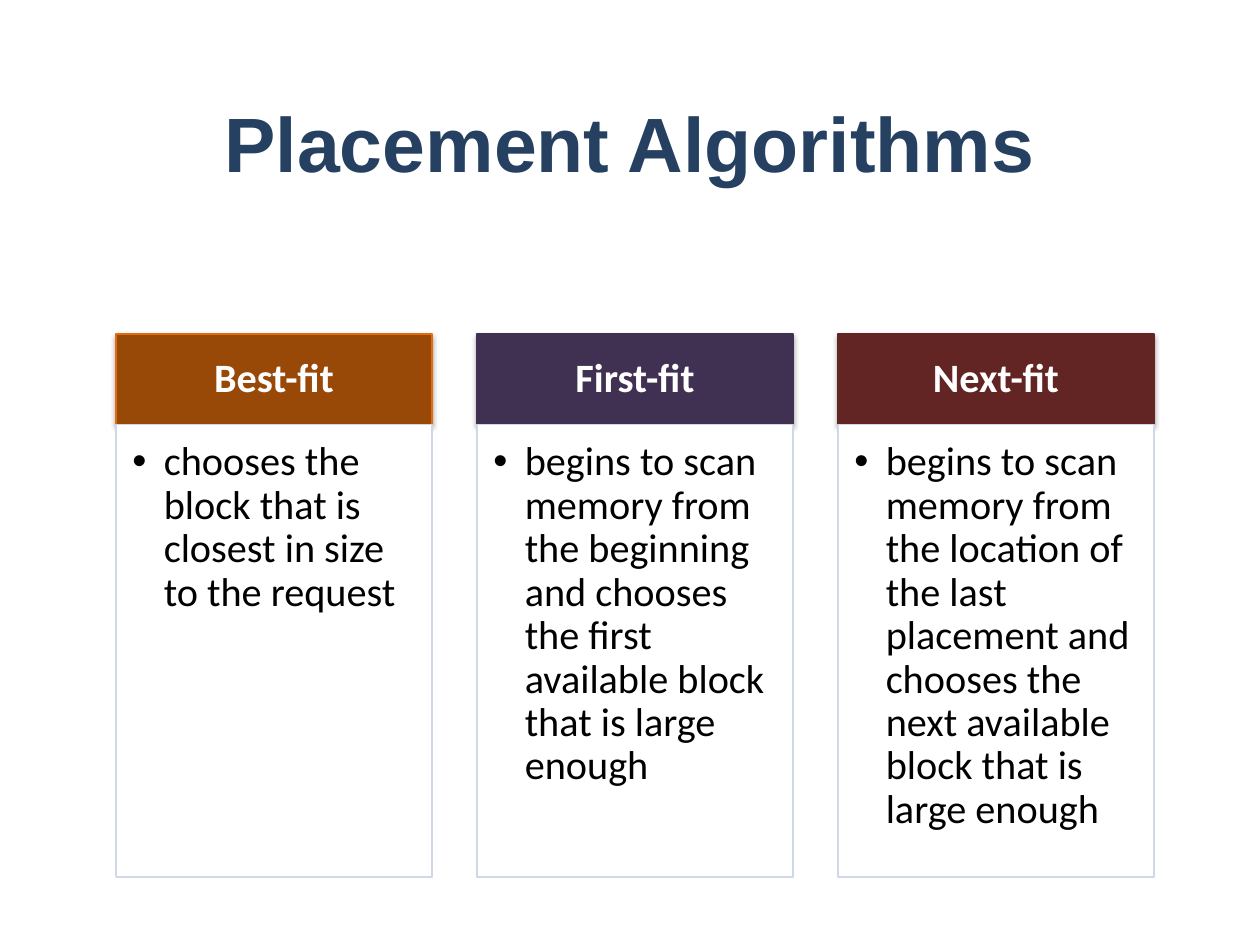
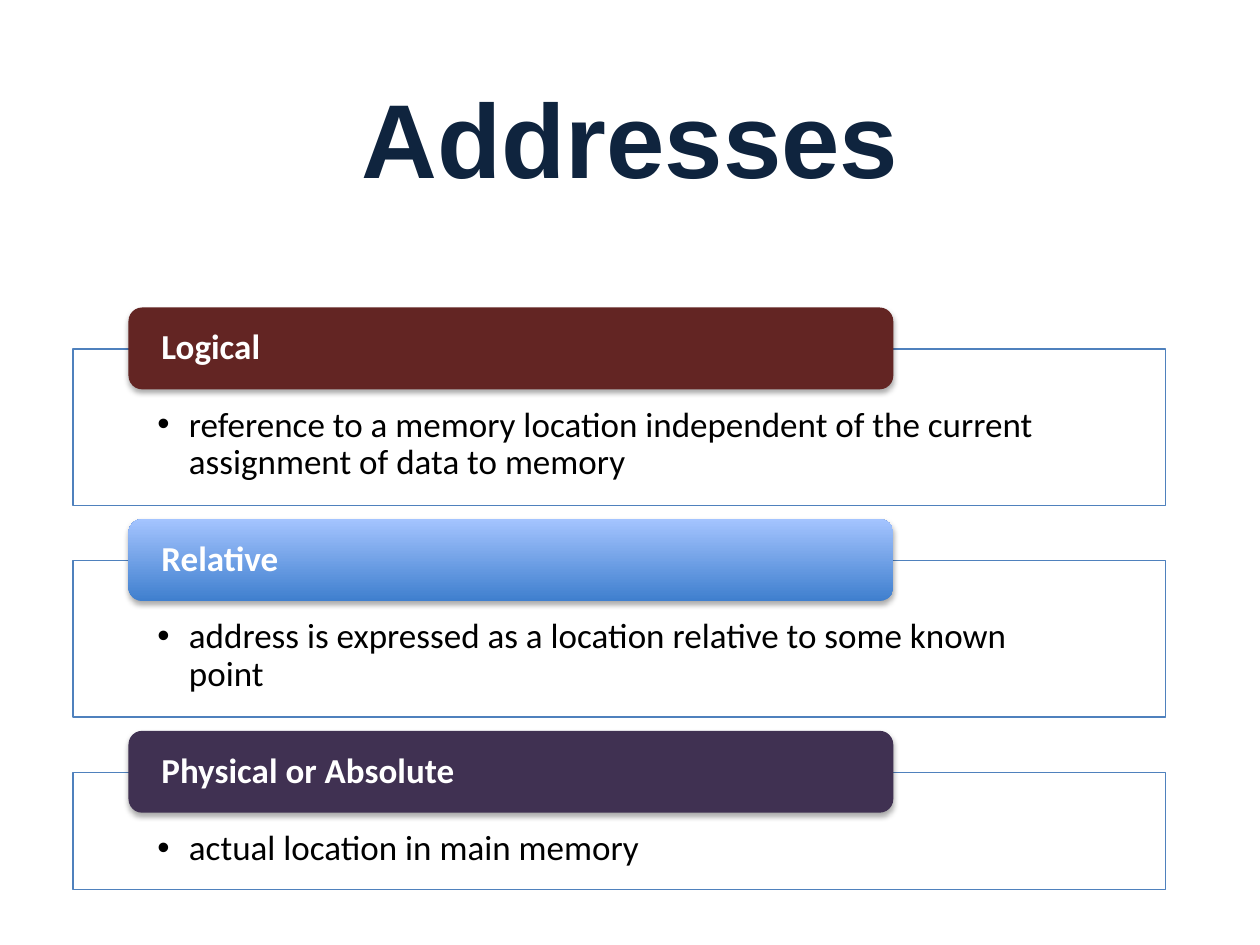
from lxml import etree
from pptx import Presentation
from pptx.dml.color import RGBColor
from pptx.enum import shapes, text
from pptx.oxml import ns
from pptx.util import Inches, Pt

WHITE, BLACK = "FFFFFF", "000000"
BROWN, PURPLE, MAROON = "984807", "403152", "632523"
BLUE_GRADIENT = ("3F7FCE", "A4C4FF")

# title, header fill, header line, description
ALGORITHMS = [
    ("Best-fit", BROWN, "E46C0A",
     "chooses the block that is closest in size to the request"),
    ("First-fit", PURPLE, PURPLE,
     "begins to scan memory from the beginning and chooses the first "
     "available block that is large enough"),
    ("Next-fit", MAROON, MAROON,
     "begins to scan memory from the location of the last placement and "
     "chooses the next available block that is large enough"),
]

# title, label fill, frame height, description
ADDRESSES = [
    ("Logical", MAROON, 1.24,
     "reference to a memory location independent of the current "
     "assignment of data to memory"),
    ("Relative", BLUE_GRADIENT, 1.24,
     "address is expressed as a location relative to some known point"),
    ("Physical or Absolute", PURPLE, 0.93, "actual location in main memory"),
]


def rgb(value):
    return RGBColor.from_string(value)


def add_child(parent, tag, **attributes):
    child = etree.SubElement(parent, ns.qn(tag))
    for name, value in attributes.items():
        child.set(name, str(value))
    return child


def paint(shape, fill):
    """Fill with one colour, or with a (bottom, top) pair as a gradient."""
    if isinstance(fill, str):
        shape.fill.solid()
        shape.fill.fore_color.rgb = rgb(fill)
        return
    shape.fill.gradient()
    shape.fill.gradient_angle = 90
    for stop, color in zip(shape.fill.gradient_stops, fill):
        stop.color.rgb = rgb(color)


def add_box(slide, preset, place, fill, line=None):
    box = slide.shapes.add_shape(preset, *map(Inches, place))
    box.shadow.inherit = False
    paint(box, fill)
    if line:
        box.line.color.rgb = rgb(line)
        box.line.width = Pt(0.75)
    else:
        box.line.fill.background()
    return box


def add_shadow(box):
    effects = box._element.spPr.find(ns.qn("a:effectLst"))
    shadow = add_child(effects, "a:outerShdw", blurRad=Pt(3.1), dist=Pt(1.8),
                       dir=90 * 60000, rotWithShape=0)
    color = add_child(shadow, "a:srgbClr", val=BLACK)
    add_child(color, "a:alpha", val=35000)


def make_translucent(box, percent):
    color = box._element.spPr.find(".//" + ns.qn("a:srgbClr"))
    add_child(color, "a:alpha", val=percent * 1000)


def write(box, words, size, color, insets, anchor, align, bold=False, bullet=False):
    frame = box.text_frame
    frame.word_wrap = True
    frame.vertical_anchor = anchor
    (frame.margin_left, frame.margin_top,
     frame.margin_right, frame.margin_bottom) = map(Inches, insets)
    frame.text = words
    para = frame.paragraphs[0]
    if bullet:
        properties = para._p.get_or_add_pPr()
        properties.set("marL", str(Inches(0.25)))
        properties.set("indent", str(Inches(-0.25)))
        add_child(properties, "a:buFont", typeface="Arial")
        add_child(properties, "a:buChar", char="•")
    para.alignment = align
    para.line_spacing = 0.9
    style_run(para.runs[0], "Calibri", size, color, bold)


def style_run(run, name, size, color, bold):
    run.font.name = name
    run.font.size = Pt(size)
    run.font.color.rgb = rgb(color)
    run.font.bold = bold


def write_heading(box, words, size, insets, align):
    write(box, words, size, WHITE, insets, text.MSO_ANCHOR.MIDDLE, align, bold=True)


def write_description(box, words, size, insets):
    write(box, words, size, BLACK, insets, text.MSO_ANCHOR.TOP,
          text.PP_ALIGN.LEFT, bullet=True)


def add_titled_slide(deck, words, size, color, height):
    slide = deck.slides.add_slide(deck.slide_layouts.get_by_name("Title Only"))
    title = slide.shapes.title
    title.left, title.top, title.width, title.height = map(
        Inches, (0.72, 0.5, 8.56, height))
    frame = title.text_frame
    frame.text = words
    frame.auto_size = text.MSO_AUTO_SIZE.NONE
    frame.vertical_anchor = text.MSO_ANCHOR.MIDDLE
    frame.paragraphs[0].alignment = text.PP_ALIGN.CENTER
    style_run(frame.paragraphs[0].runs[0], "Arial", size, color, True)
    return slide


def add_algorithm_column(slide, left, name, fill, line, description):
    rectangle = shapes.MSO_SHAPE.RECTANGLE
    header = add_box(slide, rectangle, (left, 2.65, 2.51, 0.72), fill, line)
    add_shadow(header)
    write_heading(header, name, 23, (0.18, 0.1, 0.18, 0.1), text.PP_ALIGN.CENTER)
    body = add_box(slide, rectangle, (left, 3.37, 2.51, 3.59), WHITE, "D0D8E8")
    write_description(body, description, 23, (0.13, 0.13, 0.18, 0.2))


def add_address_row(slide, top, name, fill, height, description):
    frame = add_box(slide, shapes.MSO_SHAPE.RECTANGLE,
                    (0.58, top, 8.67, height), WHITE, "4F81BD")
    make_translucent(frame, 90)
    write_description(frame, description, 20, (0.67, 0.46, 0.67, 0.16))
    label = add_box(slide, shapes.MSO_SHAPE.ROUNDED_RECTANGLE,
                    (1.02, top - 0.33, 6.07, 0.65), fill)
    add_shadow(label)
    write_heading(label, name, 20, (0.23, 0, 0.23, 0), text.PP_ALIGN.LEFT)


def main():
    deck = Presentation()
    deck.slide_width, deck.slide_height = Inches(10), Inches(7.5)

    slide = add_titled_slide(deck, "Placement Algorithms", 44, "254061", 1.25)
    for index, algorithm in enumerate(ALGORITHMS):
        add_algorithm_column(slide, 0.92 + index * 2.865, *algorithm)

    slide = add_titled_slide(deck, "Addresses", 60, "0F243E", 1.17)
    for index, address in enumerate(ADDRESSES):
        add_address_row(slide, 2.77 + index * 1.68, *address)

    deck.save("out.pptx")


if __name__ == "__main__":
    main()
